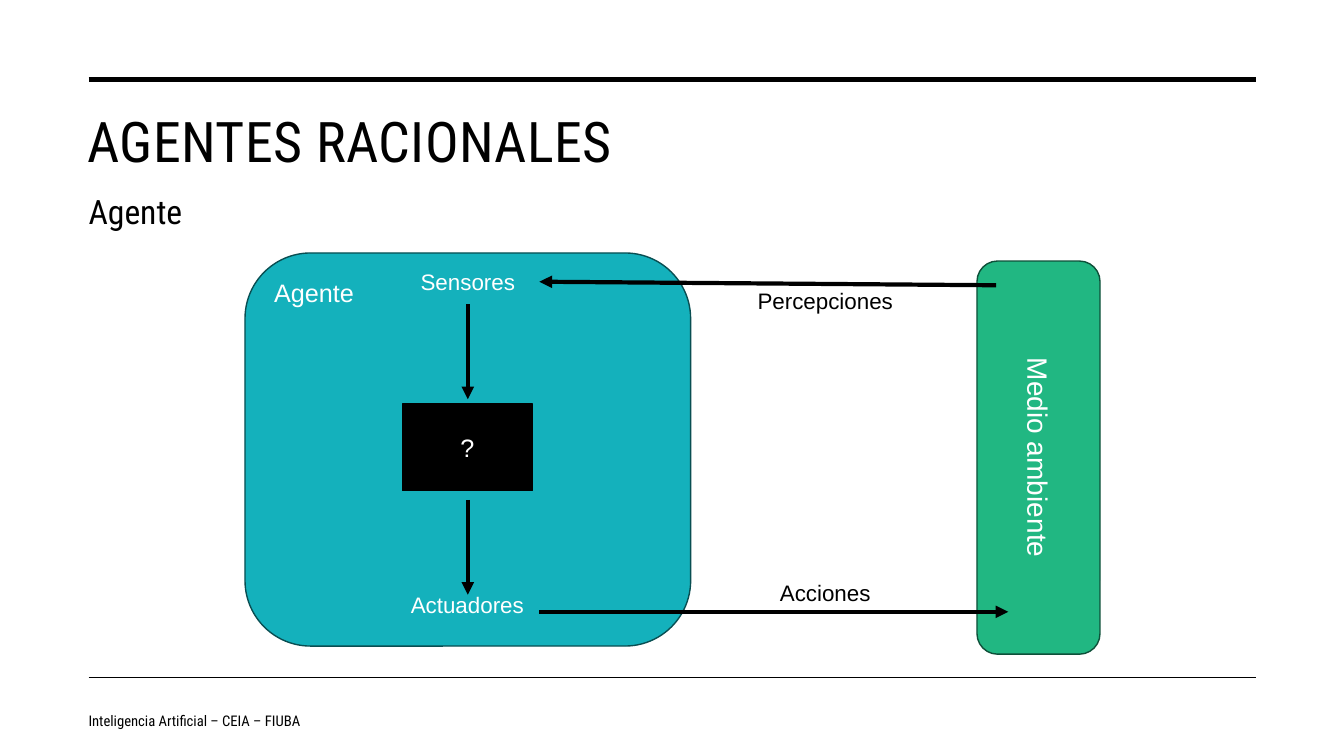
"""Build the slide on rational agents: an agent exchanging percepts and actions with its environment."""
from pptx import Presentation
from pptx.dml.color import RGBColor
from pptx.enum.shapes import MSO_CONNECTOR, MSO_SHAPE
from pptx.enum.text import MSO_ANCHOR, PP_ALIGN
from pptx.oxml.ns import qn
from pptx.util import Inches, Pt
from lxml.etree import SubElement

COLORS = {
    "ink": "000000",
    "paper": "FFFFFF",
    "agent": "14B1BC",
    "agent_edge": "094E52",
    "world": "21B782",
    "world_edge": "0E5039",
}
HEADING_FONT = "Roboto Condensed"
DIAGRAM_FONT = "Arial"
CELL = Inches(0.1)

MARGIN, RIGHT_EDGE = 8.8, 124.6
AXIS = 46.4
LABEL_LEFT, LABEL_WIDTH, LABEL_HEIGHT = 72.3, 19.1, 3.7
FLOW_START, FLOW_LENGTH = 53.5, 9.4


def cells(*counts):
    return [round(count * CELL) for count in counts]


def color(name):
    return RGBColor.from_string(COLORS[name])


def write(shape, text, size, ink, font=DIAGRAM_FONT, align=PP_ALIGN.CENTER, anchor=MSO_ANCHOR.TOP):
    frame = shape.text_frame
    frame.word_wrap = True
    frame.vertical_anchor = anchor
    frame.text = text
    paragraph = frame.paragraphs[0]
    paragraph.alignment = align
    span = paragraph.runs[0]
    span.font.name = font
    span.font.size = Pt(size)
    span.font.color.rgb = color(ink)
    return span


def add_text(page, area, text, size, ink="ink", **style):
    box = page.shapes.add_textbox(*cells(*area))
    write(box, text, size, ink, **style)
    return box


def add_heading(page, area, text, size, anchor=MSO_ANCHOR.TOP):
    return add_text(page, area, text, size, font=HEADING_FONT, align=PP_ALIGN.LEFT, anchor=anchor)


def add_block(page, kind, area, fill, edge, text, size, **style):
    block = page.shapes.add_shape(kind, *cells(*area))
    block.shadow.inherit = False
    block.fill.solid()
    block.fill.fore_color.rgb = color(fill)
    block.line.color.rgb = color(edge)
    block.line.width = Pt(1)
    write(block, text, size, "paper", **style)
    return block


def add_line(page, start, end, width):
    line = page.shapes.add_connector(MSO_CONNECTOR.STRAIGHT, *cells(*start, *end))
    line.line.color.rgb = color("ink")
    line.line.width = Pt(width)
    SubElement(line._element.spPr, qn("a:effectLst"))
    return line


def add_arrow(page, start, end):
    arrow = add_line(page, start, end, 3)
    SubElement(arrow.line._get_or_add_ln(), qn("a:tailEnd"), type="triangle")
    return arrow


def add_frame(page):
    for row, width in ((7.9, 3.5), (67.2, 1)):
        add_line(page, (MARGIN, row), (RIGHT_EDGE, row), width)
    title = add_heading(page, (7.7, 10.1, 116.9, 15), "AGENTES RACIONALES", 40)
    title.text_frame.paragraphs[0].runs[0]._r.get_or_add_rPr().set("spc", "30")
    add_heading(page, (7.8, 18.4, 83.8, 5), "Agente", 24)
    footer = add_heading(page, (7.8, 69.5, 49.6, 4), "Inteligencia Artificial – CEIA – FIUBA",
                         10.5, MSO_ANCHOR.MIDDLE)
    footer.text_frame.paragraphs[0].space_after = Pt(6)


def add_diagram(page):
    add_block(page, MSO_SHAPE.ROUNDED_RECTANGLE, (24.3, 25.1, 44.2, 39),
              "agent", "agent_edge", "Agente", 18, align=PP_ALIGN.LEFT)
    world = add_block(page, MSO_SHAPE.ROUNDED_RECTANGLE, (83.5, 39.3, 39, 12.2),
                      "world", "world_edge", "Medio ambiente", 20, anchor=MSO_ANCHOR.MIDDLE)
    world.rotation = 90
    sensors = add_text(page, (39.3, 26.1, 14.2, LABEL_HEIGHT), "Sensores", 16, "paper")
    add_text(page, (38.6, 58.2, 15.5, LABEL_HEIGHT), "Actuadores", 16, "paper")
    add_block(page, MSO_SHAPE.RECTANGLE, (39.9, 40.1, 12.9, 8.6),
              "ink", "ink", "?", 18, anchor=MSO_ANCHOR.MIDDLE)

    percepts = add_arrow(page, (98.8, 28.3), (FLOW_START, 27.9))
    percepts.end_connect(sensors, 3)
    add_arrow(page, (FLOW_START, 60.7), (100, 60.7))
    for top in (30.2, 49.6):
        add_arrow(page, (AXIS, top), (AXIS, top + FLOW_LENGTH))
    for text, top in (("Percepciones", 28), ("Acciones", 57)):
        add_text(page, (LABEL_LEFT, top, LABEL_WIDTH, LABEL_HEIGHT), text, 16)


def main():
    deck = Presentation()
    deck.slide_width, deck.slide_height = Inches(13.33), Inches(7.5)
    page = deck.slides.add_slide(deck.slide_layouts[6])
    add_frame(page)
    add_diagram(page)
    deck.save("out.pptx")


if __name__ == "__main__":
    main()
